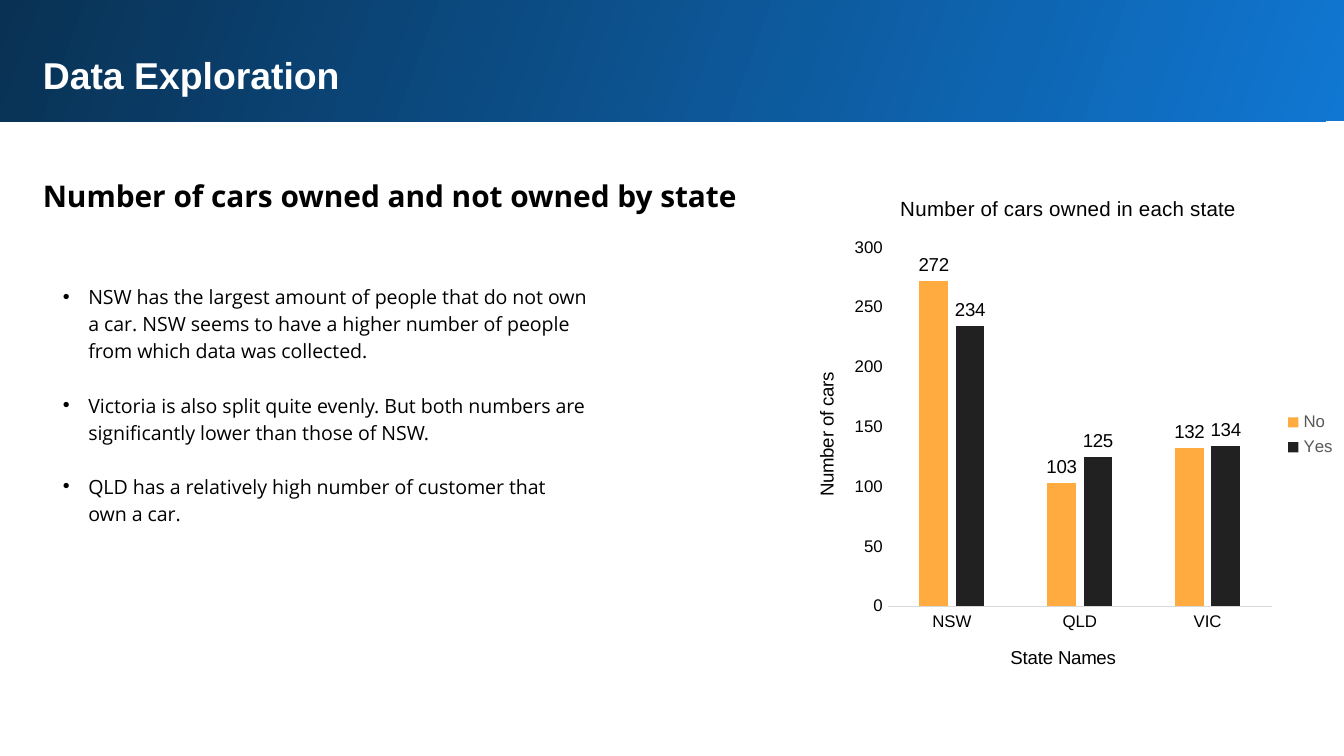
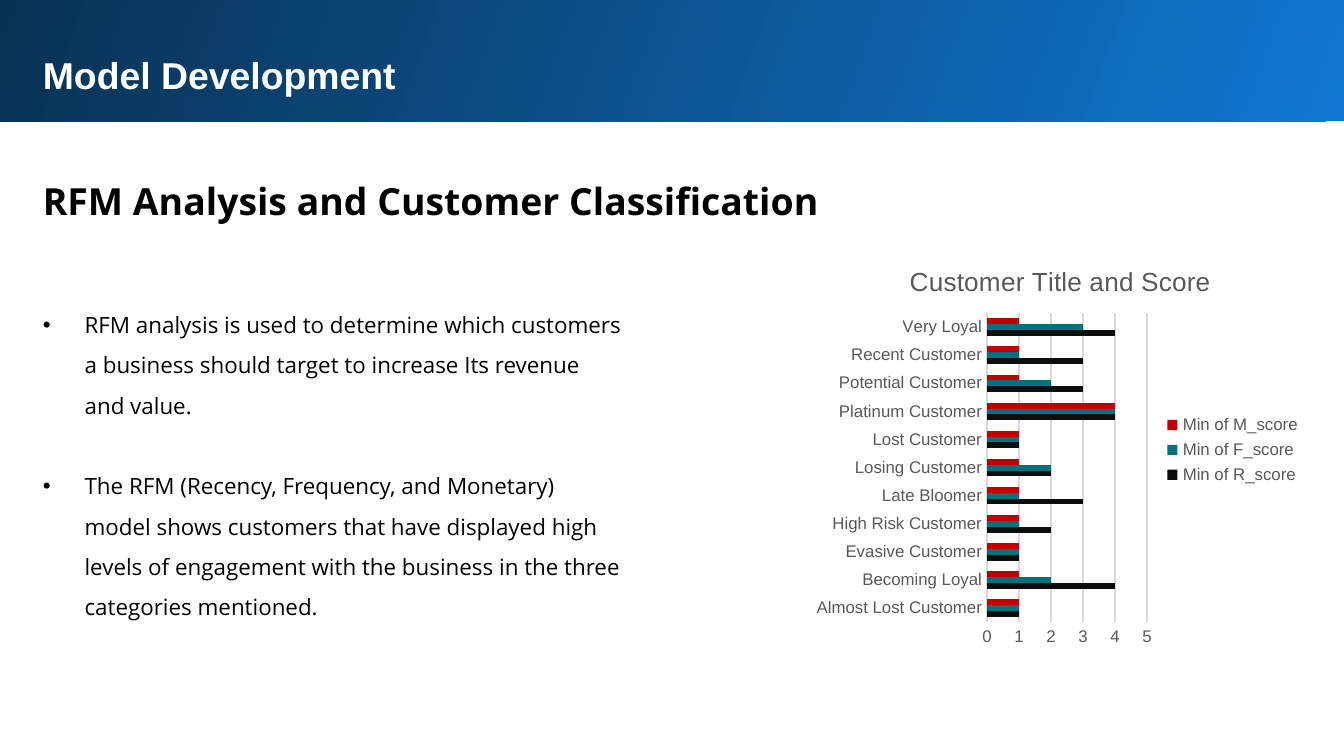
from collections import namedtuple
from dataclasses import dataclass

from lxml import etree
from pptx import Presentation
from pptx.chart.data import CategoryChartData
from pptx.dml.color import RGBColor
from pptx.enum.chart import XL_CHART_TYPE, XL_LABEL_POSITION, XL_LEGEND_POSITION, XL_TICK_MARK
from pptx.enum.shapes import MSO_SHAPE
from pptx.enum.text import MSO_AUTO_SIZE
from pptx.oxml.ns import qn
from pptx.util import Cm, Pt

COLUMN = XL_CHART_TYPE.COLUMN_CLUSTERED
BAR = XL_CHART_TYPE.BAR_CLUSTERED
OUTSIDE_END = XL_LABEL_POSITION.OUTSIDE_END
LEGEND_RIGHT = XL_LEGEND_POSITION.RIGHT
NO_TICK = XL_TICK_MARK.NONE
RECTANGLE = MSO_SHAPE.RECTANGLE
FIT_SHAPE = MSO_AUTO_SIZE.SHAPE_TO_FIT_TEXT

Box = namedtuple("Box", "left top width height")


@dataclass(frozen=True)
class Theme:
    band_light: str = "1077D2"
    band_dark: str = "093153"
    white: str = "FFFFFF"
    black: str = "000000"
    grey: str = "595959"
    rule: str = "D9D9D9"
    orange: str = "FFAB40"
    charcoal: str = "212121"
    ink: str = "0D0D0D"
    teal: str = "00717D"
    red: str = "C00000"
    title_font: str = "Arial"
    body_font: str = "Open Sans"
    title_size: float = 20
    chart_size: float = 10
    axis_size: float = 9
    rule_width: float = 0.75
    inset: float = 0.25
    line_height: float = 1.2


THEME = Theme()
BAND = Box(-0.05, -0.05, 25.53, 2.34)


def rgb(value):
    return RGBColor.from_string(value)


def style_font(font, size, color, name=THEME.title_font, bold=False):
    font.size = Pt(size)
    font.color.rgb = rgb(color)
    font.name = name
    font.bold = bold


def add_run(p, text, size, color, name=THEME.title_font, bold=False):
    r = p.add_run()
    r.text = text
    style_font(r.font, size, color, name, bold)


def add_text_frame(s, box):
    tf = s.shapes.add_textbox(*map(Cm, box)).text_frame
    tf.word_wrap = True
    tf.auto_size = FIT_SHAPE
    tf.margin_left = tf.margin_top = tf.margin_right = tf.margin_bottom = Cm(THEME.inset)
    return tf


def add_header(s, box, title):
    sp = s.shapes.add_shape(RECTANGLE, *map(Cm, box))
    sp.shadow.inherit = False
    sp.line.fill.background()
    sp.fill.gradient()
    sp.fill.gradient_angle = 160
    stops = zip(sp.fill.gradient_stops, (0, 1), (THEME.band_light, THEME.band_dark))
    for stop, position, color in stops:
        stop.position = position
        stop.color.rgb = rgb(color)
    tf = add_text_frame(s, Box(box.left + 0.61, box.top + 0.79, box.width - 1.73, 1.3))
    add_run(tf.paragraphs[0], title, THEME.title_size, THEME.white, bold=True)


def add_heading(s, box, text, size):
    p = add_text_frame(s, box).paragraphs[0]
    p.line_spacing = 1.15
    add_run(p, text, size, THEME.black, THEME.body_font, bold=True)


def add_bullets(s, box, items, size, spacing, indent):
    tf = add_text_frame(s, box)
    for i, item in enumerate(items):
        p = tf.add_paragraph() if i else tf.paragraphs[0]
        p.line_spacing = spacing
        if i:
            p.space_before = Pt(round(size * spacing * THEME.line_height, 1))
        add_run(p, item, size, THEME.black, THEME.body_font)
        props = p._p.get_or_add_pPr()
        props.set("marL", str(Cm(indent)))
        props.set("indent", str(-Cm(indent)))
        etree.SubElement(props, qn("a:buFont"), typeface="Arial")
        etree.SubElement(props, qn("a:buChar"), char="•")


def style_axis(axis, color, title=None):
    axis.major_tick_mark = axis.minor_tick_mark = NO_TICK
    style_font(axis.tick_labels.font, THEME.axis_size, color)
    axis.has_title = title is not None
    if title:
        p = axis.axis_title.text_frame.paragraphs[0]
        add_run(p, title, THEME.chart_size, THEME.black)


def style_line(line, color):
    line.color.rgb = rgb(color)
    line.width = Pt(THEME.rule_width)


def add_bar_chart(s, box, kind, title, title_size, text_color, categories, series,
                  gap, limit, step, axis_titles=(None, None)):
    data = CategoryChartData()
    data.categories = categories
    for name, values, _ in series:
        data.add_series(name, values)
    chart = s.shapes.add_chart(kind, *map(Cm, box), data).chart
    style_font(chart.font, THEME.chart_size, THEME.black)

    chart.has_title = True
    add_run(chart.chart_title.text_frame.paragraphs[0], title, title_size, text_color)
    chart.chart_title.include_in_layout = False
    chart.has_legend = True
    chart.legend.position = LEGEND_RIGHT
    chart.legend.include_in_layout = False
    style_font(chart.legend.font, THEME.axis_size, THEME.grey)

    style_axis(chart.category_axis, text_color, axis_titles[0])
    style_line(chart.category_axis.format.line, THEME.rule)
    value_axis = chart.value_axis
    style_axis(value_axis, text_color, axis_titles[1])
    value_axis.format.line.fill.background()
    value_axis.has_major_gridlines = False
    value_axis.minimum_scale = 0
    value_axis.maximum_scale = limit
    value_axis.major_unit = step

    plot = chart.plots[0]
    plot.gap_width = gap
    plot.vary_by_categories = False
    for bars, (_, _, color) in zip(plot.series, series):
        bars.format.fill.solid()
        bars.format.fill.fore_color.rgb = rgb(color)
    return chart


def add_value_labels(plot):
    plot.has_data_labels = True
    labels = plot.data_labels
    labels.show_value = True
    labels.position = OUTSIDE_END
    style_font(labels.font, THEME.chart_size, THEME.black)


def build_exploration(s):
    add_header(s, BAND, "Data Exploration")
    add_heading(s, Box(0.56, 3, 23.8, 1.24), "Number of cars owned and not owned by state", 16)
    add_bullets(s, Box(0.94, 5.08, 10.44, 5.13), [
        "NSW has the largest amount of people that do not own a car. "
        "NSW seems to have a higher number of people from which data was collected.",
        "Victoria is also split quite evenly. "
        "But both numbers are significantly lower than those of NSW.",
        "QLD has a relatively high number of customer that own a car.",
    ], size=10.5, spacing=1.15, indent=0.48)
    chart = add_bar_chart(
        s, Box(14.88, 3.28, 10.62, 9.88), COLUMN,
        "Number of cars owned in each state", 11, THEME.black,
        ["NSW", "QLD", "VIC"],
        [("No", (272, 103, 132), THEME.orange),
         ("Yes", (234, 125, 134), THEME.charcoal)],
        gap=219, limit=300, step=50, axis_titles=("State Names", "Number of cars"))
    chart.plots[0].overlap = -27
    add_value_labels(chart.plots[0])


def build_model(s):
    add_header(s, BAND, "Model Development")
    add_heading(s, Box(0.56, 3, 23.8, 1.42), "RFM Analysis and Customer Classification", 20)
    add_bullets(s, Box(0.56, 5.38, 11.48, 6.58), [
        "RFM analysis is used to determine which customers a business should target "
        "to increase Its revenue and value.",
        "The RFM (Recency, Frequency, and Monetary) model shows customers that have "
        "displayed high levels of engagement with the business in the three "
        "categories mentioned.",
    ], size=12, spacing=1.5, indent=0.79)
    chart = add_bar_chart(
        s, Box(15.24, 4.62, 9.6, 7.77), BAR,
        "Customer Title and Score", 14, THEME.grey,
        ["Almost Lost Customer", "Becoming Loyal", "Evasive Customer",
         "High Risk Customer", "Late Bloomer", "Losing Customer", "Lost Customer",
         "Platinum Customer", "Potential Customer", "Recent Customer", "Very Loyal"],
        [("Min of R_score", (1, 4, 1, 2, 3, 2, 1, 4, 3, 3, 4), THEME.ink),
         ("Min of F_score", (1, 2, 1, 1, 1, 2, 1, 4, 2, 1, 3), THEME.teal),
         ("Min of M_score", (1, 1, 1, 1, 1, 1, 1, 4, 1, 1, 1), THEME.red)],
        gap=182, limit=5, step=1)
    axis = chart.value_axis
    axis.has_major_gridlines = True
    style_line(axis.major_gridlines.format.line, THEME.rule)
    axis.tick_labels.number_format = "0"
    axis.tick_labels.number_format_is_linked = False


def main():
    prs = Presentation()
    prs.slide_width = Cm(25.4)
    prs.slide_height = Cm(14.29)
    for build in (build_exploration, build_model):
        build(prs.slides.add_slide(prs.slide_layouts[6]))
    prs.save("out.pptx")


if __name__ == "__main__":
    main()
